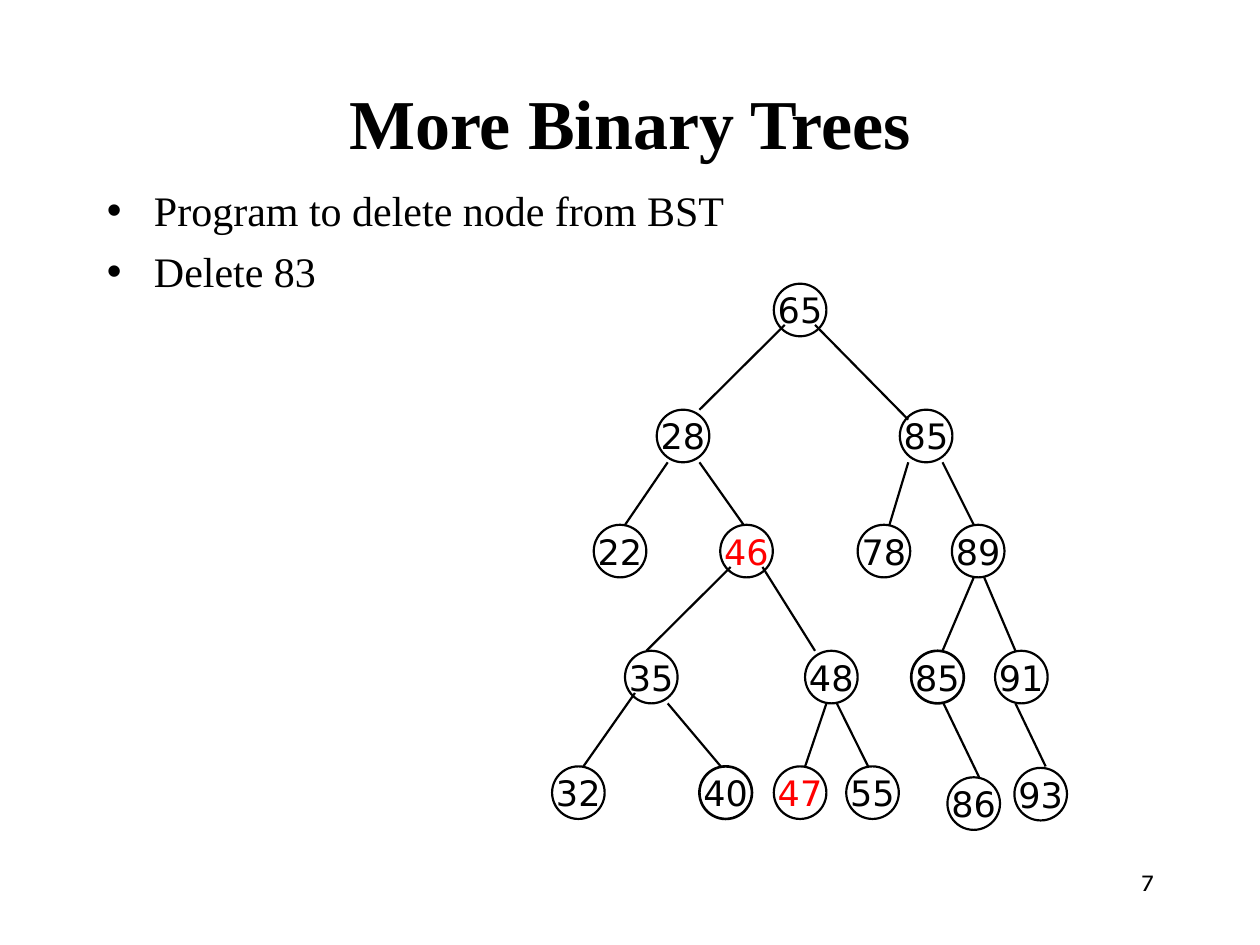
import typing
from dataclasses import dataclass

import lxml.etree
import pptx
import pptx.dml.color
import pptx.enum.shapes
import pptx.enum.text
import pptx.oxml.ns
import pptx.util

Cm = pptx.util.Cm
Pt = pptx.util.Pt
Align = pptx.enum.text.PP_ALIGN
Anchor = pptx.enum.text.MSO_ANCHOR
qn = pptx.oxml.ns.qn


@dataclass(frozen=True)
class Theme:
    ink: str = "000000"
    highlight: str = "FF0000"
    text_font: str = "Times New Roman"
    node_font: str = "DejaVu Sans"
    number_font: str = "Karla"
    title_size: float = 40
    body_size: float = 24
    node_size: float = 20
    number_size: float = 14
    thin: float = 1.25
    thick: float = 1.5


THEME = Theme()
DIAMETER = 1.06
ROW_TOPS = (5.72, 8.26, 10.58, 13.12, 15.45)


class Node(typing.NamedTuple):
    key: str
    row: int
    center: float
    color: str = THEME.ink
    weight: float = THEME.thin
    drop: float = 0


class Edge(typing.NamedTuple):
    parent_x: float
    parent_y: float
    child_x: float
    child_y: float


NODES = (
    Node("65", 0, 16.13),
    Node("28", 1, 13.77),
    Node("85", 1, 18.67),
    Node("22", 2, 12.5),
    Node("46", 2, 15.05, color=THEME.highlight),
    Node("78", 2, 17.82),
    Node("89", 2, 19.72),
    Node("35", 3, 13.13),
    Node("48", 3, 16.76),
    Node("85", 3, 18.9, weight=THEME.thick),
    Node("91", 3, 20.59),
    Node("32", 4, 11.66),
    Node("40", 4, 14.63, weight=THEME.thick),
    Node("47", 4, 16.13, color=THEME.highlight),
    Node("55", 4, 17.59),
    Node("86", 4, 19.63, drop=0.22),
    Node("93", 4, 20.98, drop=0.03),
)

EDGES = (
    Edge(15.82, 6.55, 14.1, 8.26),
    Edge(16.43, 6.55, 18.31, 8.46),
    Edge(13.46, 9.32, 12.6, 10.58),
    Edge(14.1, 9.32, 14.99, 10.58),
    Edge(18.31, 9.32, 17.93, 10.58),
    Edge(19, 9.32, 19.63, 10.58),
    Edge(14.73, 11.43, 13.03, 13.12),
    Edge(15.37, 11.43, 16.43, 13.12),
    Edge(19.63, 11.64, 19, 13.12),
    Edge(19.84, 11.64, 20.47, 13.12),
    Edge(12.8, 13.97, 11.76, 15.45),
    Edge(13.46, 14.18, 14.53, 15.45),
    Edge(16.66, 14.18, 16.23, 15.45),
    Edge(16.87, 14.18, 17.5, 15.45),
    Edge(19.02, 14.18, 19.74, 15.67),
    Edge(20.47, 14.18, 21.08, 15.45),
)


def rgb(color: str) -> pptx.dml.color.RGBColor:
    return pptx.dml.color.RGBColor.from_string(color)


def add_span(para, text: str, font: str, size: float,
             color: str = THEME.ink, bold: bool = False) -> None:
    span = para.add_run()
    span.text = text
    span.font.name = font
    span.font.size = Pt(size)
    span.font.bold = bold
    span.font.color.rgb = rgb(color)


def place(shape, left: float, top: float, width: float, height: float) -> None:
    shape.left, shape.top = Cm(left), Cm(top)
    shape.width, shape.height = Cm(width), Cm(height)


def add_bullet(para) -> None:
    properties = para._p.get_or_add_pPr()
    properties.set("marL", str(Cm(0.95)))
    properties.set("indent", str(-Cm(0.95)))
    color = lxml.etree.SubElement(properties, qn("a:buClr"))
    lxml.etree.SubElement(color, qn("a:srgbClr")).set("val", THEME.ink)
    lxml.etree.SubElement(properties, qn("a:buChar")).set("char", "•")


def fill_title(page, text: str) -> None:
    title = page.shapes.title
    place(title, 1.9, 1.7, 21.6, 1.48)
    title.text_frame.auto_size = pptx.enum.text.MSO_AUTO_SIZE.NONE
    title.text_frame.vertical_anchor = Anchor.MIDDLE
    para = title.text_frame.paragraphs[0]
    para.alignment = Align.CENTER
    add_span(para, text, THEME.text_font, THEME.title_size, bold=True)


def fill_list(page, items: typing.Sequence[str]) -> None:
    body = page.placeholders[1]
    place(body, 1.9, 3.6, 21.6, 13.34)
    frame = body.text_frame
    frame.auto_size = pptx.enum.text.MSO_AUTO_SIZE.NONE
    for index, item in enumerate(items):
        para = frame.add_paragraph() if index else frame.paragraphs[0]
        add_bullet(para)
        para.space_before = Pt(6 if index else 0)
        add_span(para, item, THEME.text_font, THEME.body_size)


def add_page_number(page, number: str) -> None:
    box = page.shapes.add_textbox(Cm(18.2), Cm(17.35), Cm(5.3), Cm(1.27))
    box.text_frame.word_wrap = True
    para = box.text_frame.paragraphs[0]
    para.alignment = Align.RIGHT
    add_span(para, number, THEME.number_font, THEME.number_size)


def add_node(page, node: Node) -> None:
    circle = page.shapes.add_shape(
        pptx.enum.shapes.MSO_SHAPE.OVAL,
        Cm(node.center - DIAMETER / 2), Cm(ROW_TOPS[node.row] + node.drop),
        Cm(DIAMETER), Cm(DIAMETER))
    circle.shadow.inherit = False
    circle.fill.background()
    circle.line.color.rgb = rgb(THEME.ink)
    circle.line.width = Pt(node.weight)
    frame = circle.text_frame
    frame.word_wrap = False
    frame.vertical_anchor = Anchor.MIDDLE
    para = frame.paragraphs[0]
    para.alignment = Align.CENTER
    add_span(para, node.key, THEME.node_font, THEME.node_size, node.color)


def add_edge(page, edge: Edge) -> None:
    line = page.shapes.add_connector(
        pptx.enum.shapes.MSO_CONNECTOR.STRAIGHT, *map(Cm, edge))
    line.line.color.rgb = rgb(THEME.ink)
    line.line.width = Pt(THEME.thin)
    lxml.etree.SubElement(line._element.spPr, qn("a:effectLst"))


def main() -> None:
    deck = pptx.Presentation()
    deck.slide_width, deck.slide_height = Cm(25.4), Cm(19.05)
    page = deck.slides.add_slide(deck.slide_layouts[1])
    fill_title(page, "More Binary Trees")
    fill_list(page, ("Program to delete node from BST", "Delete 83"))
    add_page_number(page, "7")
    for node in NODES:
        add_node(page, node)
    for edge in EDGES:
        add_edge(page, edge)
    deck.save("out.pptx")


if __name__ == "__main__":
    main()
